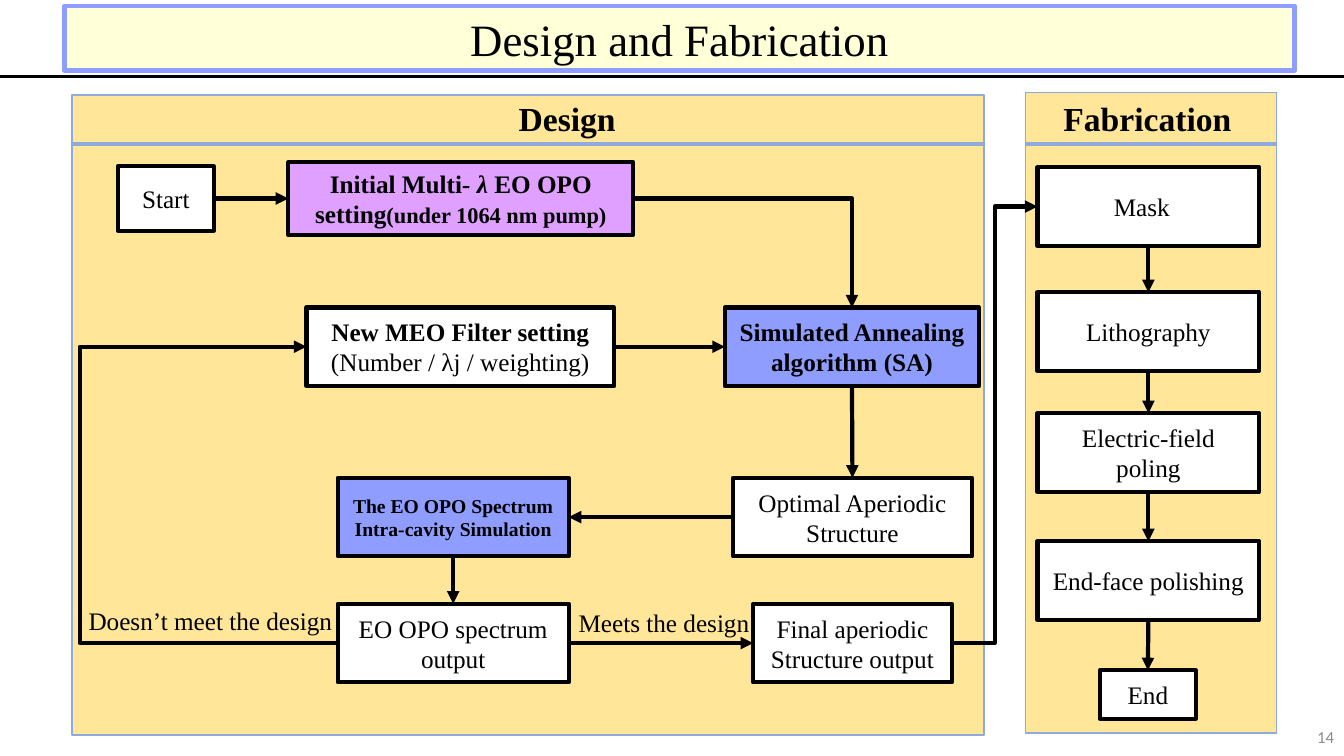
import pptx
import pptx.util
import pptx.dml.color
import pptx.enum.shapes
import pptx.enum.text
import pptx.oxml.ns
import lxml.etree

Inches, Pt = pptx.util.Inches, pptx.util.Pt
RGBColor = pptx.dml.color.RGBColor
SHAPE = pptx.enum.shapes.MSO_SHAPE
CONNECTOR = pptx.enum.shapes.MSO_CONNECTOR
ALIGN = pptx.enum.text.PP_ALIGN
ANCHOR = pptx.enum.text.MSO_ANCHOR
qn = pptx.oxml.ns.qn

BLACK = RGBColor(0x00, 0x00, 0x00)
WHITE = RGBColor(0xFF, 0xFF, 0xFF)
GREY = RGBColor(0x8C, 0x8C, 0x8C)
SAND = RGBColor(0xFF, 0xE6, 0x99)
STEEL = RGBColor(0x8F, 0xAA, 0xDC)
BLUE = RGBColor(0x8F, 0x9D, 0xFE)
PURPLE = RGBColor(0xDF, 0xA0, 0xFF)
CREAM = RGBColor(0xFF, 0xFF, 0xD8)
SERIF = "Times New Roman"
TOP, LEFT, BOTTOM, RIGHT = range(4)

prs = pptx.Presentation()
prs.slide_width, prs.slide_height = Inches(13.33), Inches(7.5)
s = prs.slides.add_slide(prs.slide_layouts[6])


def add_box(x, y, w, h, paragraphs=(), fill=None, line=BLACK, width=3, size=18,
            bold=False, align=ALIGN.CENTER, anchor=ANCHOR.MIDDLE,
            font=SERIF, color=BLACK, kind=SHAPE.RECTANGLE):
    """Filled shape, or a plain text box when no fill is given."""
    at = [Inches(v) for v in (x, y, w, h)]
    if fill is None:
        sp = s.shapes.add_textbox(*at)
    else:
        sp = s.shapes.add_shape(kind, *at)
        sp.shadow.inherit = False
        sp.fill.solid()
        sp.fill.fore_color.rgb = fill
        sp.line.color.rgb = line
        sp.line.width = Pt(width)
    tf = sp.text_frame
    tf.word_wrap = True
    tf.vertical_anchor = anchor
    for i, text in enumerate(paragraphs):
        p = tf.add_paragraph() if i else tf.paragraphs[0]
        p.add_run().text = text
        p.alignment = align
        p.font.name, p.font.size = font, Pt(size)
        p.font.bold, p.font.color.rgb = bold, color
    return sp


def add_line(x1, y1, x2, y2, color=BLACK, width=3, arrow=True, kind=CONNECTOR.STRAIGHT):
    c = s.shapes.add_connector(kind, *[Inches(v) for v in (x1, y1, x2, y2)])
    c.line.color.rgb = color
    c.line.width = Pt(width)
    if arrow:
        lxml.etree.SubElement(c.line._get_or_add_ln(), qn("a:tailEnd"), type="triangle")
    lxml.etree.SubElement(c._element.spPr, qn("a:effectLst"))
    return c


# Title rule and the two panels with headings
add_line(0, 0.76, 13.33, 0.76, width=2.25, arrow=False)
for x, y, w, width, heading, hx, hw in (
        (0.71, 0.94, 9.05, 1.5, "Design", 4.12, 3.01),
        (10.17, 0.92, 2.49, 1, "Fabrication", 10.37, 2.02)):
    add_box(x, y, w, 6.35, fill=SAND, line=STEEL, width=width,
            kind=SHAPE.FLOWCHART_PROCESS)
    add_box(hx, 0.92, hw, 0.5, [heading], size=24, bold=True, anchor=ANCHOR.TOP)
    add_line(x, 1.43, x + w, 1.43, color=STEEL, arrow=False)

# Design steps
start = add_box(1.17, 1.65, 0.95, 0.64, ["Start"], WHITE)
initial = add_box(2.86, 1.61, 3.42, 0.72, ["Initial Multi"], PURPLE, bold=True)
p = initial.text_frame.paragraphs[0]
for text, italic, size in (("- λ ", True, 18), ("EO OPO setting", False, 18),
                           ("(under 1064 nm pump)", False, 16)):
    r = p.add_run()
    r.text = text
    r.font.italic, r.font.size = italic, Pt(size)
new_filter = add_box(3.04, 3.05, 3.05, 0.78,
                     ["New MEO Filter setting", "(Number / λj / weighting)"], WHITE)
new_filter.text_frame.paragraphs[0].font.bold = True
annealing = add_box(7.19, 3.05, 2.52, 0.78, ["Simulated Annealing algorithm (SA)"],
                    BLUE, bold=True)
optimal = add_box(7.27, 4.74, 2.37, 0.78, ["Optimal Aperiodic Structure"], WHITE)
simulation = add_box(3.35, 4.74, 2.29, 0.78,
                     ["The EO OPO Spectrum Intra-cavity Simulation"],
                     BLUE, size=14, bold=True)
output = add_box(3.35, 5.99, 2.29, 0.78, ["EO OPO spectrum output"], WHITE)
final = add_box(7.47, 5.99, 1.97, 0.78, ["Final aperiodic Structure output"], WHITE)

# Fabrication steps
fabrication = [add_box(10.29, y, 2.2, 0.78, [text], WHITE) for y, text in (
    (1.66, "Mask"), (2.9, "Lithography"),
    (4.1, "Electric-field poling"), (5.37, "End-face polishing"))]
fabrication[0].text_frame.margin_right = Inches(0.23)
fabrication.append(add_box(10.91, 6.65, 0.95, 0.48, ["End"], WHITE))

# Straight arrows between steps
links = [(start, RIGHT, initial, LEFT), (new_filter, RIGHT, annealing, LEFT),
         (annealing, BOTTOM, optimal, TOP), (optimal, LEFT, simulation, RIGHT),
         (simulation, BOTTOM, output, TOP), (output, RIGHT, final, LEFT)]
links += [(a, BOTTOM, b, TOP) for a, b in zip(fabrication, fabrication[1:])]
for a, a_side, b, b_side in links:
    c = add_line(0, 0, 1, 1)
    c.begin_connect(a, a_side)
    c.end_connect(b, b_side)

# Bent arrows: to annealing, back to the filter setting, on to the mask
for ends, preset, bend in (
        ((6.28, 1.97, 8.45, 3.05), "bentConnector2", None),
        ((3.35, 6.38, 3.04, 3.44), "bentConnector3", 826000),
        ((9.44, 6.38, 10.29, 2.05), "bentConnector3", 50000)):
    c = add_line(*ends, kind=CONNECTOR.ELBOW)
    geom = c._element.spPr.find(qn("a:prstGeom"))
    geom.set("prst", preset)
    if bend is not None:
        lxml.etree.SubElement(geom.find(qn("a:avLst")), qn("a:gd"),
                              name="adj1", fmla=f"val {bend}")

# Branch labels
for x, y, w, text in ((0.78, 5.96, 2.83, "Doesn’t meet the design"),
                      (5.64, 5.98, 2.19, "Meets the design")):
    add_box(x, y, w, 0.42, [text], align=ALIGN.LEFT, anchor=ANCHOR.TOP)

# Title and slide number
add_box(0.64, 0.06, 12.2, 0.64, ["Design and Fabrication"], CREAM, BLUE, size=32)
add_box(10.33, 7.11, 3, 0.4, ["14"], size=12, align=ALIGN.RIGHT, font="Calibri", color=GREY)

prs.save("out.pptx")
